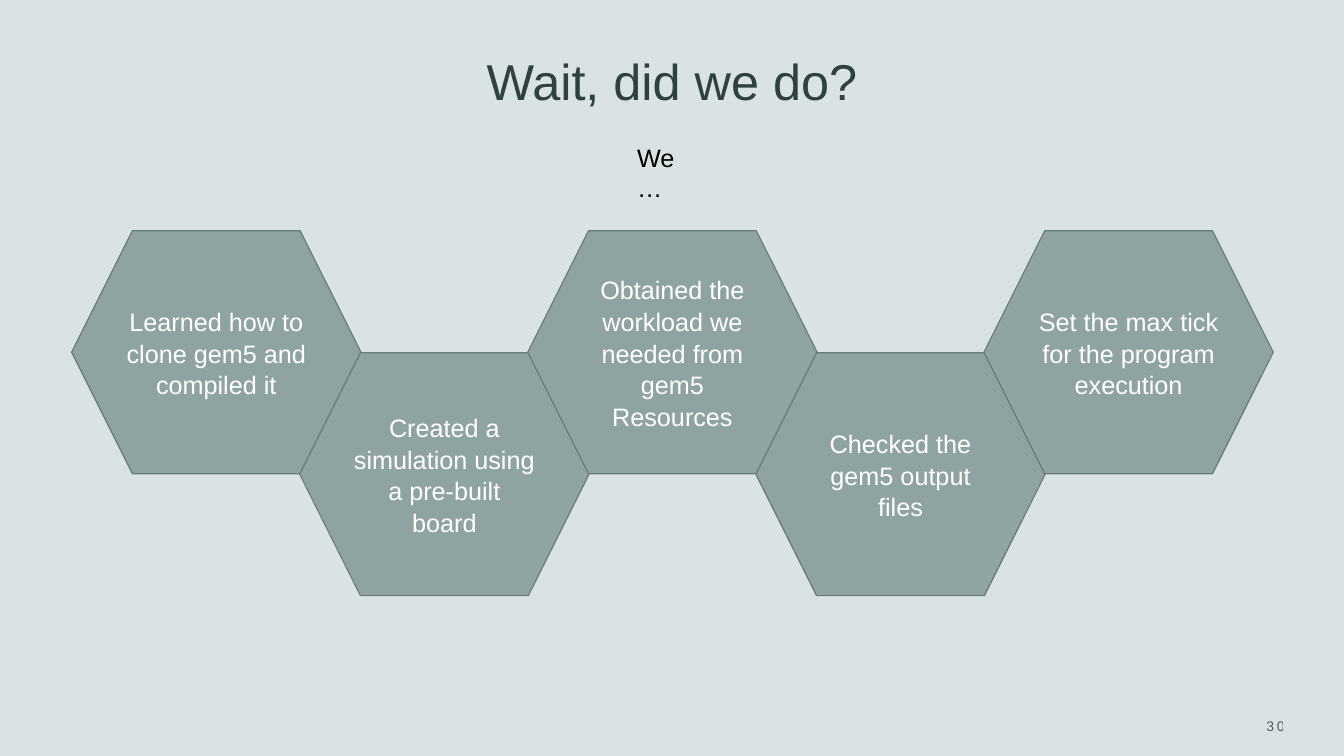
import pptx
import pptx.util
import pptx.dml.color
import pptx.enum.shapes
import pptx.enum.text
import pptx.oxml.ns
from dataclasses import dataclass
from lxml import etree

Inches, Pt = pptx.util.Inches, pptx.util.Pt
RGB = pptx.dml.color.RGBColor.from_string
ALIGN = pptx.enum.text.PP_ALIGN
ANCHOR = pptx.enum.text.MSO_ANCHOR


@dataclass(frozen=True)
class Theme:
    font: str = "Arial"
    background: str = "DAE3E3"
    title: str = "303F3F"
    hexagon: str = "8FA3A3"
    outline: str = "6A7979"
    light: str = "FFFFFF"
    dark: str = "000000"
    title_size: int = 36
    body_size: int = 18
    number_size: int = 10
    outline_width: float = 0.85


class SlideBuilder:
    # All lengths are percentages of the slide's width or height.
    # Neighbouring hexagons are one column and one row apart.
    LEFT, TOP, COLUMN, ROW = 5.33, 30.53, 16.97, 16.13
    HEX_WIDTH, HEX_HEIGHT = 21.53, 32.13

    def __init__(self, prs, theme):
        self.theme = theme
        self.size = (prs.slide_width, prs.slide_height)
        self.slide = prs.slides.add_slide(prs.slide_layouts[6])
        fill = self.slide.background.fill
        fill.solid()
        fill.fore_color.rgb = RGB(theme.background)

    def place(self, box):
        """Turn left, top, width, height in percent into slide lengths."""
        return [round(share / 100 * side) for share, side in zip(box, self.size * 2)]

    def fill_text(self, sp, text, size, color, align, anchor, spacing=1.0):
        tf = sp.text_frame
        p = tf.paragraphs[0]
        r = p.add_run()
        r.text = text
        formats = [
            (tf, {"word_wrap": True, "vertical_anchor": anchor}),
            (p, {"alignment": align, "line_spacing": spacing}),
            (r.font, {"name": self.theme.font, "size": Pt(size)}),
            (r.font.color, {"rgb": RGB(color)}),
        ]
        for target, values in formats:
            for name, value in values.items():
                setattr(target, name, value)
        return r

    def text(self, box, text, size, color, align=ALIGN.LEFT, anchor=ANCHOR.TOP):
        sp = self.slide.shapes.add_textbox(*self.place(box))
        return self.fill_text(sp, text, size, color, align, anchor)

    def page_number(self, box, text):
        """Add small, letter-spaced, 60 % opaque text."""
        t = self.theme
        r = self.text(box, text, t.number_size, t.dark, ALIGN.RIGHT, ANCHOR.MIDDLE)
        r.font._element.set("spc", "200")
        color = r.font._element.find(".//" + pptx.oxml.ns.qn("a:srgbClr"))
        etree.SubElement(color, pptx.oxml.ns.qn("a:alpha"), val="60000")

    def hexagon(self, column, row, text):
        t = self.theme
        box = (self.LEFT + column * self.COLUMN, self.TOP + row * self.ROW,
               self.HEX_WIDTH, self.HEX_HEIGHT)
        sp = self.slide.shapes.add_shape(
            pptx.enum.shapes.MSO_SHAPE.HEXAGON, *self.place(box))
        sp.shadow.inherit = False
        sp.fill.solid()
        sp.fill.fore_color.rgb = RGB(t.hexagon)
        sp.line.color.rgb = RGB(t.outline)
        sp.line.width = Pt(t.outline_width)
        self.fill_text(sp, text, t.body_size, t.light, ALIGN.CENTER, ANCHOR.MIDDLE, 1.05)


STEPS = [
    "Learned how to clone gem5 and compiled it",
    "Created a simulation using a pre-built board",
    "Obtained the workload we needed from gem5 Resources",
    "Checked the gem5 output files",
    "Set the max tick for the program execution",
]


def main():
    prs = pptx.Presentation()
    prs.slide_width, prs.slide_height = Inches(13.33), Inches(7.5)
    theme = Theme()
    builder = SlideBuilder(prs, theme)
    builder.page_number((81.92, 92.67, 14.4, 6.67), "30")
    builder.text((8.1, 5.73, 83.8, 9.6), "Wait, did we do?", theme.title_size,
                 theme.title, ALIGN.CENTER, ANCHOR.BOTTOM)
    builder.text((46.66, 18.13, 5.48, 5.33), "We…", theme.body_size, theme.dark)
    for column, step in enumerate(STEPS):
        builder.hexagon(column, column % 2, step)
    prs.save("out.pptx")


if __name__ == "__main__":
    main()
